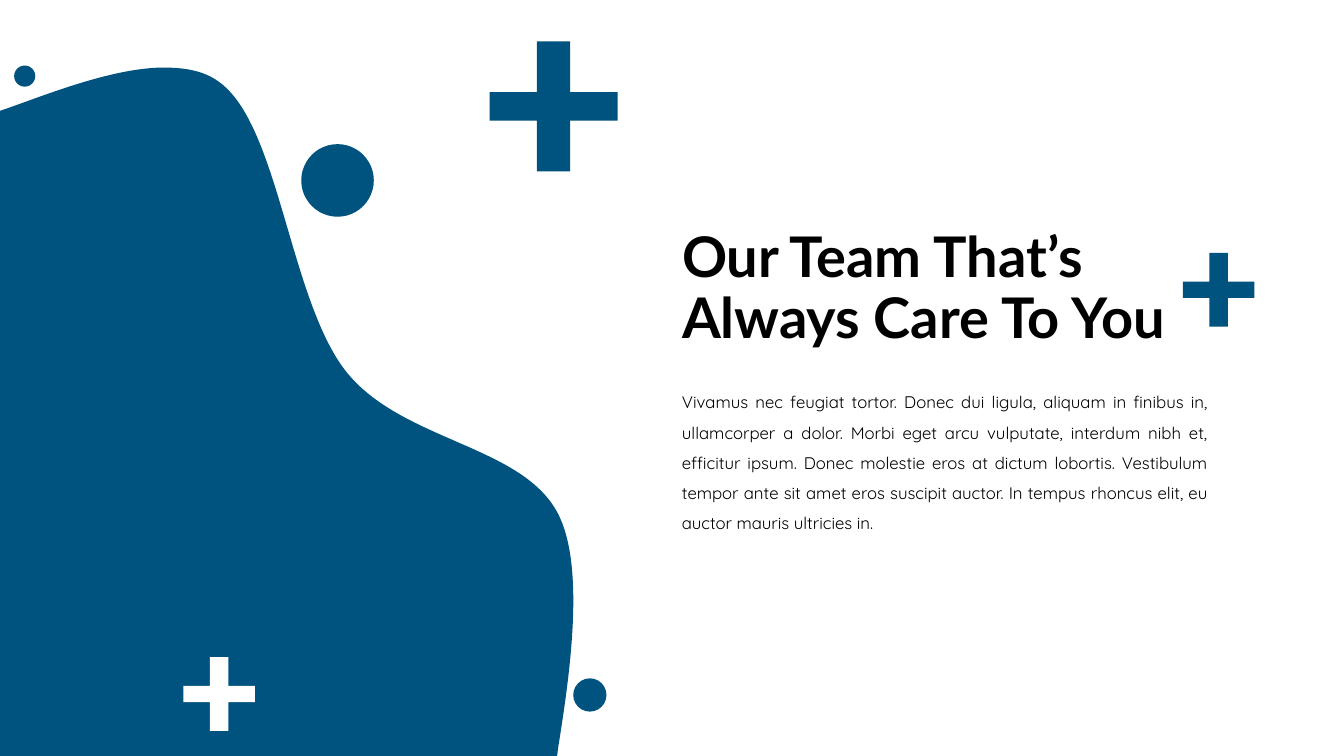
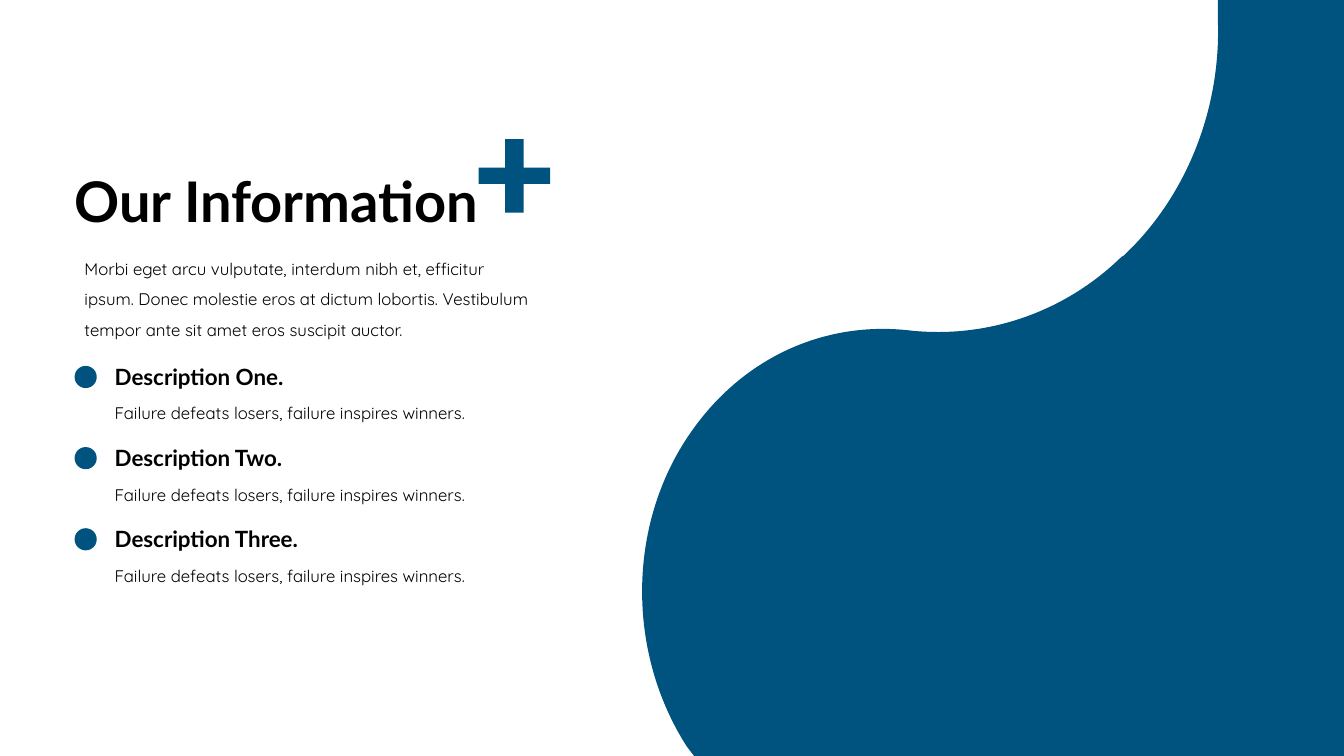
from dataclasses import dataclass
from typing import Union

from lxml.etree import SubElement
from pptx import Presentation
from pptx.dml.color import RGBColor
from pptx.enum.shapes import MSO_SHAPE
from pptx.enum.text import MSO_ANCHOR as Anchor, MSO_AUTO_SIZE as AutoSize, PP_ALIGN as Align
from pptx.oxml.ns import qn
from pptx.shapes.autoshape import Shape
from pptx.shapes.shapetree import GroupShapes, SlideShapes
from pptx.slide import Slide
from pptx.util import Inches, Pt

WIDTH, HEIGHT = 13.34, 7.5
BLUE, WHITE, BLACK = "00527F", "FFFFFF", "000000"
FIRST_ROW, LAST_ROW = 3.55, 5.16

Point = tuple[float, float]
Shapes = Union[SlideShapes, GroupShapes]


@dataclass(frozen=True)
class Area:
    left: float
    top: float
    width: float
    height: float

    def lengths(self) -> list[Inches]:
        return [Inches(v) for v in (self.left, self.top, self.width, self.height)]


@dataclass(frozen=True)
class TextStyle:
    font: str
    size: int
    bold: bool = False
    spacing: float = 1.0
    align: Align = Align.LEFT
    anchor: Anchor = Anchor.TOP


@dataclass(frozen=True)
class Blob:
    """A closed outline; a step has one point for a line, three for a curve."""
    area: Area
    start: Point
    steps: list[tuple[Point, ...]]


@dataclass(frozen=True)
class Plus:
    left: float
    top: float
    width: float = 0.71
    height: float = 0.73
    color: str = BLUE


@dataclass(frozen=True)
class Dot:
    left: float
    top: float
    size: float


TITLE = TextStyle("Lato", 40, bold=True, spacing=0.9, anchor=Anchor.MIDDLE)
HEADING = TextStyle("Lato", 16, bold=True, anchor=Anchor.MIDDLE)
BODY = TextStyle("Quicksand", 12, spacing=1.5)
JUSTIFIED = TextStyle("Quicksand", 12, spacing=1.5, align=Align.JUSTIFY)

TEAM_BLOB = Blob(Area(0, 0.67, 5.69, 6.83), (1.61, 0.67), [
    ((1.08, 0.68), (0.41, 0.96), (0.03, 1.09)),
    ((0, 1.1),), ((0, HEIGHT),), ((5.53, HEIGHT),), ((5.54, 7.42),),
    ((5.65, 6.73), (5.81, 5.66), (5.55, 5.12)),
    ((5.21, 4.41), (3.99, 4.39), (3.43, 3.68)),
    ((2.87, 2.96), (2.77, 1.23), (2.17, 0.81)),
    ((2.02, 0.7), (1.83, 0.67), (1.61, 0.67)),
])
INFORMATION_BLOB = Blob(Area(6.37, 0, 6.97, HEIGHT), (12.09, 0), [
    ((WIDTH, 0),), ((WIDTH, HEIGHT),), ((6.89, HEIGHT),), ((6.82, 7.41),),
    ((6.22, 6.48), (6.22, 5.21), (6.85, 4.3)),
    ((7.38, 3.53), (8.21, 3.18), (9.04, 3.28)),
    ((9.8, 3.36), (10.56, 3.1), (11.12, 2.56)),
    ((11.13, 2.55), (11.14, 2.54), (11.15, 2.54)),
    ((11.76, 1.97), (12.11, 1.12), (12.09, 0.24)),
    ((12.09, 0),),
])


def color(value: str) -> RGBColor:
    return RGBColor.from_string(value)


def paint(shape: Shape, fill: str) -> None:
    shape.shadow.inherit = False
    shape.fill.solid()
    shape.fill.fore_color.rgb = color(fill)
    shape.line.fill.background()


def place(shape: Shape, area: Area) -> None:
    shape.left, shape.top, shape.width, shape.height = area.lengths()


def write(box: Shape, text: str, style: TextStyle, fit: AutoSize) -> None:
    frame = box.text_frame
    frame.word_wrap = True
    frame.auto_size = fit
    frame.vertical_anchor = style.anchor
    frame.text = text
    para = frame.paragraphs[0]
    para.alignment = style.align
    para.line_spacing = style.spacing
    para.font.name = style.font
    para.font.size = Pt(style.size)
    para.font.bold = style.bold
    para.font.color.rgb = color(BLACK)


def add_text(shapes: Shapes, area: Area, text: str, style: TextStyle) -> None:
    write(shapes.add_textbox(*area.lengths()), text, style, AutoSize.SHAPE_TO_FIT_TEXT)


def add_outline(shapes: Shapes, points: list[Point], fill: str) -> Shape:
    start, *rest = [(Inches(x), Inches(y)) for x, y in points]
    builder = shapes.build_freeform(*start)
    builder.add_line_segments(rest, close=True)
    shape = builder.convert_to_shape()
    paint(shape, fill)
    return shape


def add_blob(shapes: Shapes, blob: Blob) -> None:
    shape = add_outline(shapes, [blob.start, *(step[-1] for step in blob.steps)], BLUE)
    place(shape, blob.area)
    # Rewrite the outline with true Bezier curves, measured from the area's corner
    outline = shape.element.find(".//" + qn("a:path"))
    for child in list(outline):
        outline.remove(child)
    outline.set("w", str(Inches(blob.area.width)))
    outline.set("h", str(Inches(blob.area.height)))
    moves = [("a:moveTo", (blob.start,))]
    moves += [("a:lnTo" if len(step) == 1 else "a:cubicBezTo", step) for step in blob.steps]
    for tag, points in moves:
        move = SubElement(outline, qn(tag))
        for x, y in points:
            SubElement(move, qn("a:pt"), x=str(Inches(x - blob.area.left)),
                       y=str(Inches(y - blob.area.top)))
    SubElement(outline, qn("a:close"))


def add_plus(shapes: Shapes, plus: Plus) -> None:
    # The arms take a fixed share of the width and the height
    x0, x1, x2, x3 = (plus.left + plus.width * k for k in (0, 0.37, 0.63, 1))
    y0, y1, y2, y3 = (plus.top + plus.height * k for k in (0, 0.39, 0.61, 1))
    add_outline(shapes, [
        (x1, y0), (x2, y0), (x2, y1), (x3, y1), (x3, y2), (x2, y2),
        (x2, y3), (x1, y3), (x1, y2), (x0, y2), (x0, y1), (x1, y1),
    ], plus.color)


def add_dot(shapes: Shapes, dot: Dot) -> None:
    area = Area(dot.left, dot.top, dot.size, dot.size)
    paint(shapes.add_shape(MSO_SHAPE.OVAL, *area.lengths()), BLUE)


def add_page(deck: Presentation, title: str, area: Area, blob: Blob,
             pluses: list[Plus]) -> Slide:
    page = deck.slides.add_slide(deck.slide_layouts[5])
    place(page.shapes.title, area)
    write(page.shapes.title, title, TITLE, AutoSize.NONE)
    add_blob(page.shapes, blob)
    for plus in pluses:
        add_plus(page.shapes, plus)
    return page


def add_team(deck: Presentation) -> None:
    page = add_page(
        deck, "Our Team That’s Always Care To You", Area(6.67, 2.15, 5.75, 1.45), TEAM_BLOB,
        [Plus(11.74, 2.51), Plus(1.82, 6.52, color=WHITE), Plus(4.86, 0.41, 1.27, 1.29)])
    for dot in (Dot(2.99, 1.43, 0.72), Dot(5.69, 6.73, 0.33), Dot(0.14, 0.65, 0.21)):
        add_dot(page.shapes, dot)
    add_text(page.shapes, Area(6.67, 3.74, 5.42, 1.6),
             "Vivamus nec feugiat tortor. Donec dui ligula, aliquam in finibus in, "
             "ullamcorper a dolor. Morbi eget arcu vulputate, interdum nibh et, "
             "efficitur ipsum. Donec molestie eros at dictum lobortis. Vestibulum "
             "tempor ante sit amet eros suscipit auctor. In tempus rhoncus elit, eu "
             "auctor mauris ultricies in.", JUSTIFIED)


def add_information(deck: Presentation) -> None:
    page = add_page(deck, "Our Information", Area(0.64, 1.3, 5.09, 1.45),
                    INFORMATION_BLOB, [Plus(4.75, 1.38)])
    add_text(page.shapes, Area(0.74, 2.42, 4.61, 1),
             "Morbi eget arcu vulputate, interdum nibh et, efficitur ipsum. Donec "
             "molestie eros at dictum lobortis. Vestibulum tempor ante sit amet eros "
             "suscipit auctor.", BODY)
    # Descriptions at equal gaps, one group each
    numbers = ("One", "Two", "Three")
    pitch = (LAST_ROW - FIRST_ROW) / (len(numbers) - 1)
    for index, number in enumerate(numbers):
        top = FIRST_ROW + index * pitch
        row = page.shapes.add_group_shape().shapes
        add_text(row, Area(1.04, top, 2.85, 0.37), f"Description {number}.", HEADING)
        add_text(row, Area(1.04, top + 0.3, 4.05, 0.4),
                 "Failure defeats losers, failure inspires winners.", JUSTIFIED)
        add_dot(row, Dot(0.74, top + 0.08, 0.22))


def main() -> None:
    deck = Presentation()
    deck.slide_width, deck.slide_height = Inches(WIDTH), Inches(HEIGHT)
    add_team(deck)
    add_information(deck)
    deck.save("out.pptx")


if __name__ == "__main__":
    main()
